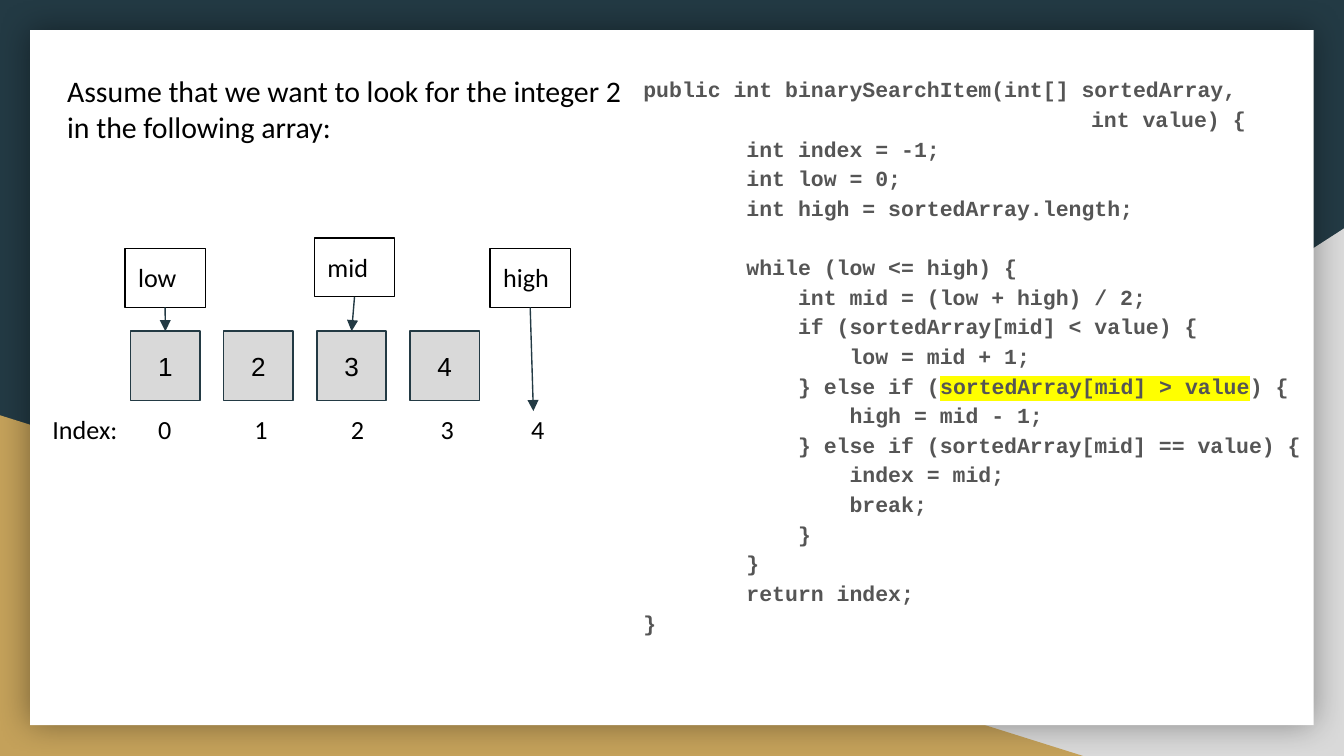
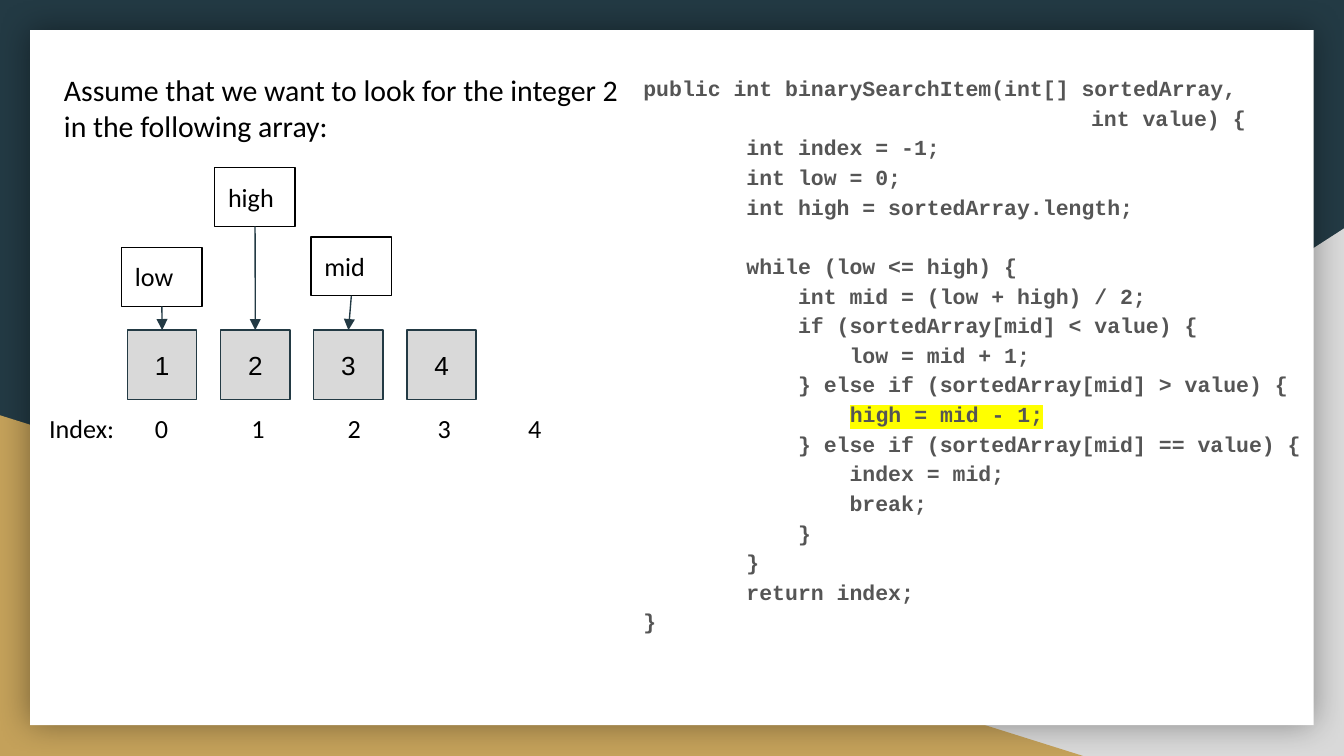
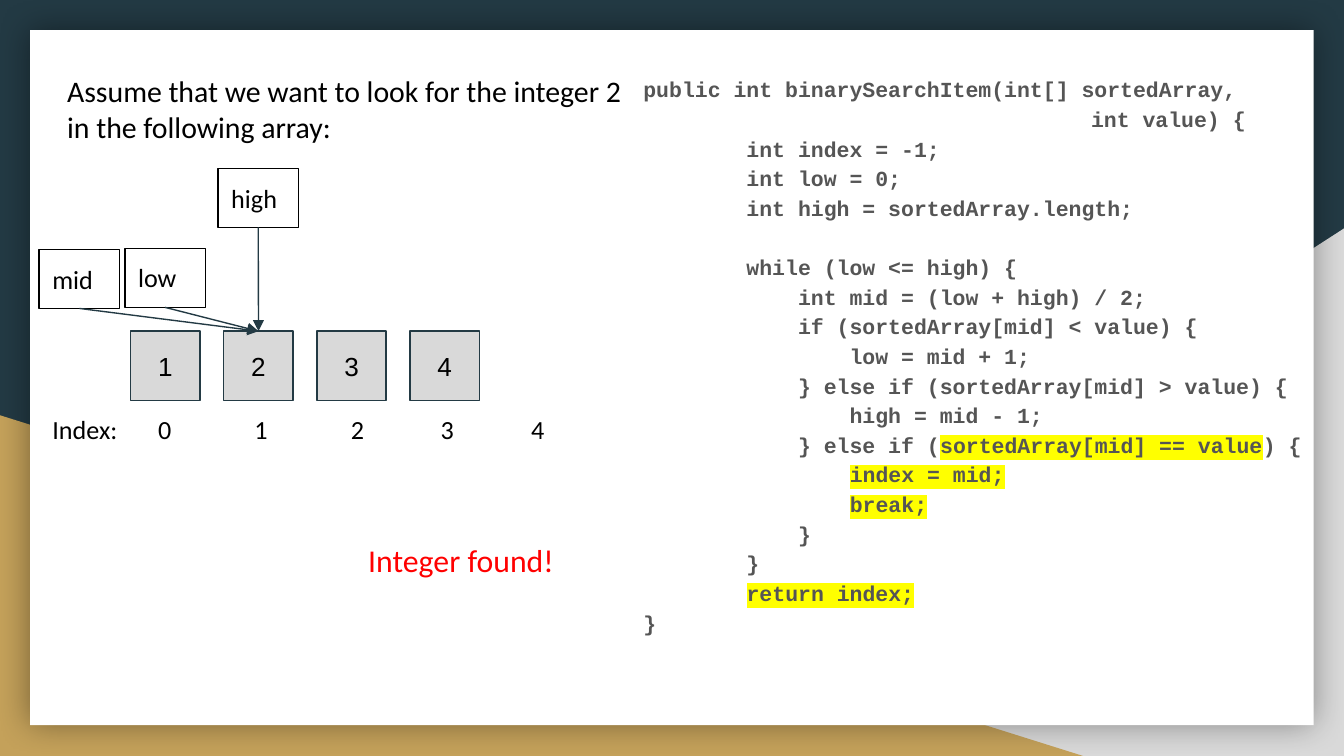
from lxml import etree
from pptx import Presentation
from pptx.dml.color import RGBColor
from pptx.enum.shapes import MSO_CONNECTOR, MSO_SHAPE
from pptx.enum.text import MSO_ANCHOR, MSO_AUTO_SIZE, PP_ALIGN
from pptx.oxml.ns import qn
from pptx.util import Cm, Pt

RECT, WEDGE = MSO_SHAPE.RECTANGLE, MSO_SHAPE.RIGHT_TRIANGLE
LINE = MSO_CONNECTOR.STRAIGHT
TOP, MIDDLE = MSO_ANCHOR.TOP, MSO_ANCHOR.MIDDLE
LEFT, CENTER = PP_ALIGN.LEFT, PP_ALIGN.CENTER
GROW, FIXED = MSO_AUTO_SIZE.SHAPE_TO_FIT_TEXT, MSO_AUTO_SIZE.NONE

NAVY = RGBColor(0x23, 0x3A, 0x44)
GOLD = RGBColor(0xC4, 0xA1, 0x5A)
SILVER = RGBColor(0xD9, 0xD9, 0xD9)
WHITE = RGBColor(0xFF, 0xFF, 0xFF)
BLACK = RGBColor(0, 0, 0)
GRAY = RGBColor(0x55, 0x55, 0x55)
RED = RGBColor(0xFF, 0, 0)
YELLOW = RGBColor(0xFF, 0xFF, 0)

# Text styles
TASK = {"name": "Calibri", "size": Pt(16)}
LABEL = {"name": "Calibri", "size": Pt(14)}
DIGIT = {"name": "Arial", "size": Pt(14)}
FOUND = {"name": "Calibri", "size": Pt(17)}
MONO = {"name": "Courier New", "size": Pt(11.5), "bold": True}

# Array grid, in centimetres
CELL_X, CELL_Y, CELL, STEP = 2.47, 6.26, 1.31, 1.76
TABS = (2, 3.82, 5.64, 7.34, 9.05)

PROMPT = "Assume that we want to look for the integer 2 in the following array:"
INDENT = (0.43, 0)
DEEP = (7.62, 1.27)
WRAPPED = "int value) {"
CODE = """public int binarySearchItem(int[] sortedArray,
int value) {
        int index = -1;
        int low = 0;
        int high = sortedArray.length;
 
        while (low <= high) {
            int mid = (low + high) / 2;
            if (sortedArray[mid] < value) {
                low = mid + 1;
            } else if (sortedArray[mid] > value) {
                high = mid - 1;
            } else if (sortedArray[mid] == value) {
                index = mid;
                break;
            }
        }
        return index;
}"""

# Each step: shift, pointers (word, left, top, cell or end point), marked code
STEPS = [
    {"shift": (0, 0),
     "labels": [("low", 2.36, 4.7, 0), ("high", 9.26, 4.7, (10.08, 7.77)),
                ("mid", 5.94, 4.5, 2)],
     "marks": ["sortedArray[mid] > value"]},
    {"shift": (-0.06, -0.02),
     "labels": [("low", 2.36, 4.7, 0), ("high", 4.12, 3.19, 1),
                ("mid", 5.94, 4.5, 2)],
     "marks": ["high = mid - 1;"]},
    {"shift": (0, 0),
     "labels": [("low", 2.36, 4.7, 1), ("high", 4.12, 3.19, 1),
                ("mid", 0.74, 4.72, 1)],
     "marks": ["sortedArray[mid] == value", "index = mid;", "break;",
               "return index;"],
     "result": "Integer found!"},
]


def put(item, values):
    for key, value in values.items():
        setattr(item, key, value)


def add(parent, tag, **values):
    return etree.SubElement(parent, qn(tag), values)


class Deck:
    def __init__(self):
        self.prs = Presentation()
        put(self.prs, {"slide_width": Cm(25.4), "slide_height": Cm(14.29)})
        self.layout = self.prs.slide_layouts[6]
        self.slide = None
        self.shift = (0, 0)

    def start(self, shift):
        self.slide = self.prs.slides.add_slide(self.layout)
        self.shift = shift

    def place(self, x, y):
        return Cm(x + self.shift[0]), Cm(y + self.shift[1])

    def shape(self, kind, x, y, w, h, fill=None, line=None):
        item = self.slide.shapes.add_shape(kind, *self.place(x, y), Cm(w), Cm(h))
        item.shadow.inherit = False
        if fill is None:
            item.fill.background()
        else:
            item.fill.solid()
            item.fill.fore_color.rgb = fill
        if line is None:
            item.line.fill.background()
        else:
            item.line.color.rgb = line
            item.line.width = Pt(0.75)
        return item

    def frame(self, item, anchor=TOP, fit=GROW):
        body = item.text_frame
        pad = Cm(0.25)
        put(body, {"word_wrap": True, "auto_size": fit,
                   "vertical_anchor": anchor, "margin_left": pad,
                   "margin_right": pad, "margin_top": pad,
                   "margin_bottom": pad})
        return body

    def run(self, para, text, style, color=BLACK, mark=None):
        run = para.add_run()
        run.text = text
        put(run.font, style)
        run.font.color.rgb = color
        if mark is not None:
            light = etree.Element(qn("a:highlight"))
            add(light, "a:srgbClr", val=str(mark))
            props = run._r.get_or_add_rPr()
            props.find(qn("a:solidFill")).addnext(light)

    def label(self, item, text, style, color=BLACK, align=LEFT,
              anchor=TOP, fit=GROW):
        para = self.frame(item, anchor, fit).paragraphs[0]
        para.alignment = align
        self.run(para, text, style, color)

    def box(self, x, y, w, h):
        return self.slide.shapes.add_textbox(*self.place(x, y), Cm(w), Cm(h))

    def text(self, x, y, w, h, text, style, color=BLACK):
        self.label(self.box(x, y, w, h), text, style, color)

    def arrow(self, tag, goal):
        """Link a tag's foot to the top of a cell, or to a point."""
        free = isinstance(goal, tuple)
        end = self.place(*goal) if free else (goal.left, goal.top)
        item = self.slide.shapes.add_connector(LINE, tag.left, tag.top, *end)
        item.begin_connect(tag, 2)
        if not free:
            item.end_connect(goal, 0)
        item.line.color.rgb = NAVY
        item.line.width = Pt(0.75)
        props = item.element.spPr
        add(props.find(qn("a:ln")), "a:tailEnd", type="triangle")
        add(props, "a:effectLst")

    def cells(self):
        row = []
        for i in range(4):
            cell = self.shape(RECT, CELL_X + i * STEP, CELL_Y, CELL, CELL,
                              SILVER, NAVY)
            self.label(cell, str(i + 1), DIGIT, align=CENTER,
                       anchor=MIDDLE, fit=FIXED)
            row.append(cell)
        return row

    def index(self):
        para = self.frame(self.box(0.74, 7.56, 10.06, 1.11)).paragraphs[0]
        stops = add(para._p.get_or_add_pPr(), "a:tabLst")
        for stop in TABS:
            add(stops, "a:tab", pos=str(Cm(stop)), algn="l")
        words = ["Index:"] + [str(i) for i in range(len(TABS))]
        self.run(para, "\t".join(words), LABEL)

    def code(self, marks):
        self.shift = (0, self.shift[1])
        body = self.frame(self.box(11.48, 1.12, 15.34, 10.34), fit=FIXED)
        for i, line in enumerate(CODE.split("\n")):
            para = body.add_paragraph() if i else body.paragraphs[0]
            para.line_spacing = 1.15
            left, first = DEEP if line == WRAPPED else INDENT
            props = para._p.get_or_add_pPr()
            props.set("marL", str(Cm(left)))
            props.set("indent", str(Cm(first)))
            mark = next((m for m in marks if m in line), None)
            parts = line.partition(mark) if mark else (line,)
            for part in filter(None, parts):
                self.run(para, part, MONO, GRAY,
                         YELLOW if part == mark else None)

    def backdrop(self):
        """Draw the shared backdrop and move it to the layout."""
        fill = self.layout.background.fill
        fill.solid()
        fill.fore_color.rgb = NAVY
        right = self.shape(WEDGE, 9.96, 4.32, 15.44, 9.97, SILVER)
        right.element.spPr.get_or_add_xfrm().set("flipH", "1")
        left = self.shape(WEDGE, 0, 7.85, 20.47, 6.44, GOLD)
        card = self.shape(RECT, 0.57, 0.57, 24.26, 13.14, WHITE)
        shade = add(card.element.spPr.find(qn("a:effectLst")), "a:outerShdw",
                    blurRad=str(Pt(18)), dist="0", dir="0", algn="ctr",
                    rotWithShape="0")
        add(add(shade, "a:srgbClr", val=str(BLACK)), "a:alpha", val="40000")
        for item in (right, left, card):
            self.layout.shapes.element.append(item.element)


def main():
    deck = Deck()
    for number, step in enumerate(STEPS):
        deck.start(step["shift"])
        if number == 0:
            deck.backdrop()

        # Array with its pointers
        row = deck.cells()
        deck.index()
        for word, x, y, goal in step["labels"]:
            tag = deck.shape(RECT, x, y, 1.52, 1.11, line=BLACK)
            deck.label(tag, word, LABEL)
            deck.arrow(tag, goal if isinstance(goal, tuple) else row[goal])

        # Task, code and result
        deck.text(1.02, 1.12, 11.1, 1.88, PROMPT, TASK)
        deck.code(step["marks"])
        if "result" in step:
            deck.text(6.71, 9.98, 4.09, 1.24, step["result"], FOUND, RED)
    deck.prs.save("out.pptx")


if __name__ == "__main__":
    main()
